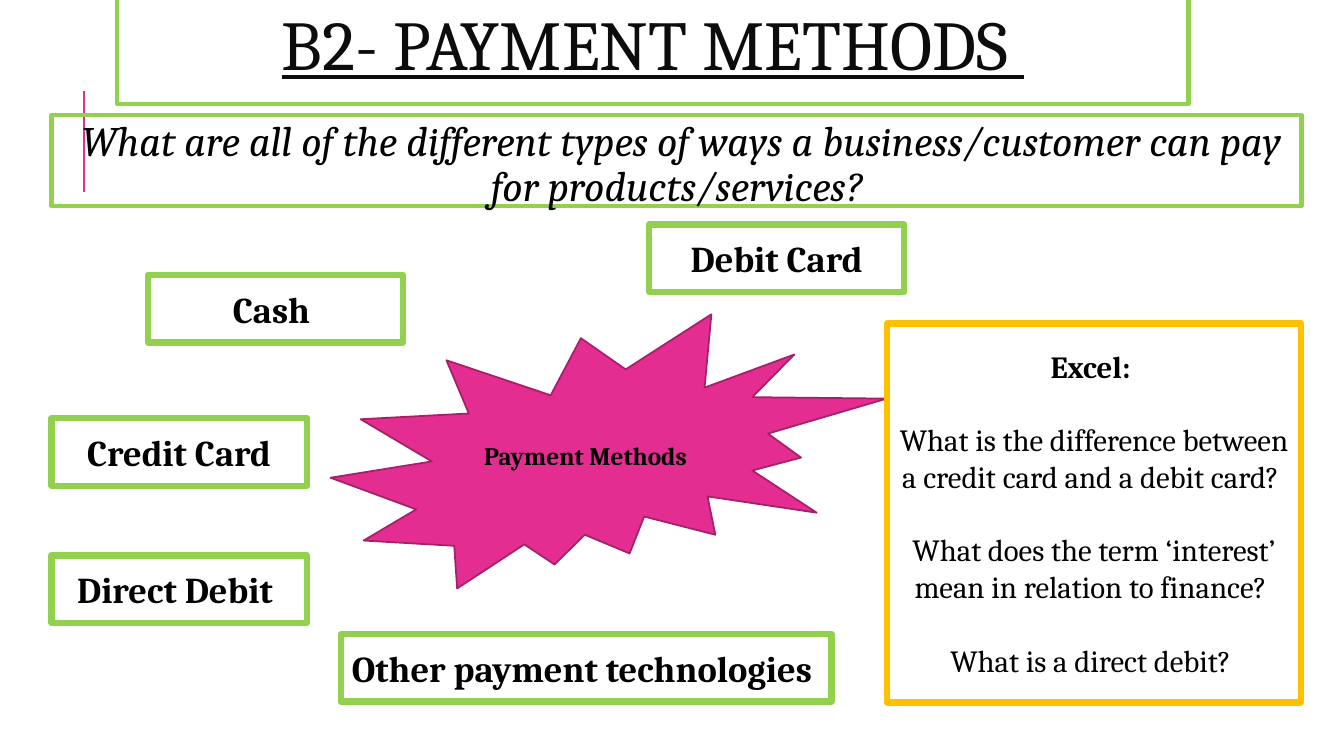
from dataclasses import dataclass

from lxml.etree import SubElement
from pptx import Presentation
from pptx.dml.color import RGBColor
from pptx.enum.shapes import MSO_CONNECTOR, MSO_SHAPE
from pptx.enum.text import MSO_ANCHOR, MSO_AUTO_SIZE, PP_ALIGN
from pptx.oxml.ns import qn
from pptx.util import Cm, Pt


@dataclass(frozen=True)
class Theme:
    font: str = "Cambria"
    ink: RGBColor = RGBColor(0, 0, 0)
    title_ink: RGBColor = RGBColor(0x0C, 0x0C, 0x0C)
    green: RGBColor = RGBColor(0x92, 0xD0, 0x50)
    amber: RGBColor = RGBColor(0xFF, 0xC0, 0x00)
    pink: RGBColor = RGBColor(0xE3, 0x2D, 0x91)
    dark_pink: RGBColor = RGBColor(0xA5, 0x20, 0x69)
    title_size: float = 50
    question_size: float = 30
    method_size: float = 26
    task_size: float = 22
    hub_size: float = 18
    thin: float = 3
    thick: float = 4.5


THEME = Theme()


@dataclass(frozen=True)
class Box:
    """A rectangle in centimetres."""
    left: float
    top: float
    width: float
    height: float

    def emu(self):
        return Cm(self.left), Cm(self.top), Cm(self.width), Cm(self.height)

    def inner(self, left, top, width, height):
        """Return a box placed relative to this one's top left corner."""
        return Box(self.left + left, self.top + top, width, height)


def outline(shape, color, weight):
    shape.line.color.rgb = color
    shape.line.width = Pt(weight)


def add_panel(slide, box, color, weight, kind=MSO_SHAPE.RECTANGLE):
    panel = slide.shapes.add_shape(kind, *box.emu())
    panel.shadow.inherit = False
    panel.fill.background()
    outline(panel, color, weight)
    panel.text_frame.word_wrap = True
    panel.text_frame.vertical_anchor = MSO_ANCHOR.MIDDLE
    return panel


def write(paragraph, text, size, color=THEME.ink, bold=None, italic=None, underline=None):
    """Add one centred run."""
    paragraph.alignment = PP_ALIGN.CENTER
    run = paragraph.add_run()
    run.text = text
    font = run.font
    font.name = THEME.font
    font.size = Pt(size)
    font.color.rgb = color
    font.bold, font.italic, font.underline = bold, italic, underline


def add_title(slide, box):
    title = slide.shapes.title
    title.left, title.top, title.width, title.height = box.emu()
    outline(title, THEME.green, THEME.thin)
    frame = title.text_frame
    frame.auto_size = MSO_AUTO_SIZE.NONE
    frame.vertical_anchor = MSO_ANCHOR.MIDDLE
    heading = frame.paragraphs[0]
    heading.line_spacing = 0.8
    write(heading, "B2- PAYMENT METHODS ", THEME.title_size, THEME.title_ink, underline=True)


def add_question(slide, box):
    """Place the key question with the accent rule behind its left end."""
    rule_x, rule_top = Cm(box.left + 0.81), box.top - 0.61
    rule = slide.shapes.add_connector(
        MSO_CONNECTOR.STRAIGHT, rule_x, Cm(rule_top + 2.54), rule_x, Cm(rule_top))
    outline(rule, THEME.pink, 1.5)
    SubElement(rule._element.spPr, qn("a:effectLst"))

    frame = add_panel(slide, box, THEME.green, THEME.thin).text_frame
    frame.vertical_anchor = MSO_ANCHOR.TOP
    frame.margin_left, frame.margin_right = Cm(0.38), Cm(0.13)
    frame.margin_top = frame.margin_bottom = Cm(0.13)
    question = frame.paragraphs[0]
    question.line_spacing = 0.9
    write(question,
          "What are all of the different types of ways a business/customer "
          "can pay for products/services? ", THEME.question_size, italic=True)


def add_methods(slide, box):
    """Place the central burst and the payment methods around it."""
    hub = add_panel(slide, box.inner(7.03, 2.26, 14.02, 6.91), THEME.dark_pink, 1.25,
                    MSO_SHAPE.EXPLOSION2)
    hub.fill.solid()
    hub.fill.fore_color.rgb = THEME.pink
    write(hub.text_frame.paragraphs[0], "Payment Methods ", THEME.hub_size, bold=True)

    methods = (
        ("Cash ", 2.43, 1.27, 6.43),
        ("Credit Card", 0, 4.88, 6.43),
        ("Debit Card", 15.06, 0, 6.43),
        ("Direct Debit ", 0, 8.34, 6.43),
        ("Other payment technologies ", 7.29, 10.32, 12.37),
    )
    for method, left, top, width in methods:
        label = add_panel(slide, box.inner(left, top, width, 1.7), THEME.green, THEME.thick)
        write(label.text_frame.paragraphs[0], method, THEME.method_size, bold=True)


def add_tasks(slide, box):
    frame = add_panel(slide, box, THEME.amber, THEME.thick).text_frame
    write(frame.paragraphs[0], "Excel: ", THEME.task_size, bold=True)
    for task in (
        "What is the difference between a credit card and a debit card? ",
        "What does the term ‘interest’ mean in relation to finance? ",
        "What is a direct debit? ",
    ):
        paragraph = frame.add_paragraph()
        paragraph.space_before = Pt(26)
        write(paragraph, task, THEME.task_size)


def main():
    deck = Presentation()
    deck.slide_width, deck.slide_height = Cm(33.87), Cm(19.05)
    slide = deck.slides.add_slide(deck.slide_layouts[5])
    add_title(slide, Box(2.95, -0.1, 27, 2.72))
    add_question(slide, Box(1.3, 2.9, 31.5, 2.29))
    add_methods(slide, Box(1.3, 5.66, 21.05, 12.02))
    add_tasks(slide, Box(22.35, 8.15, 10.44, 9.55))
    deck.save("out.pptx")


if __name__ == "__main__":
    main()
